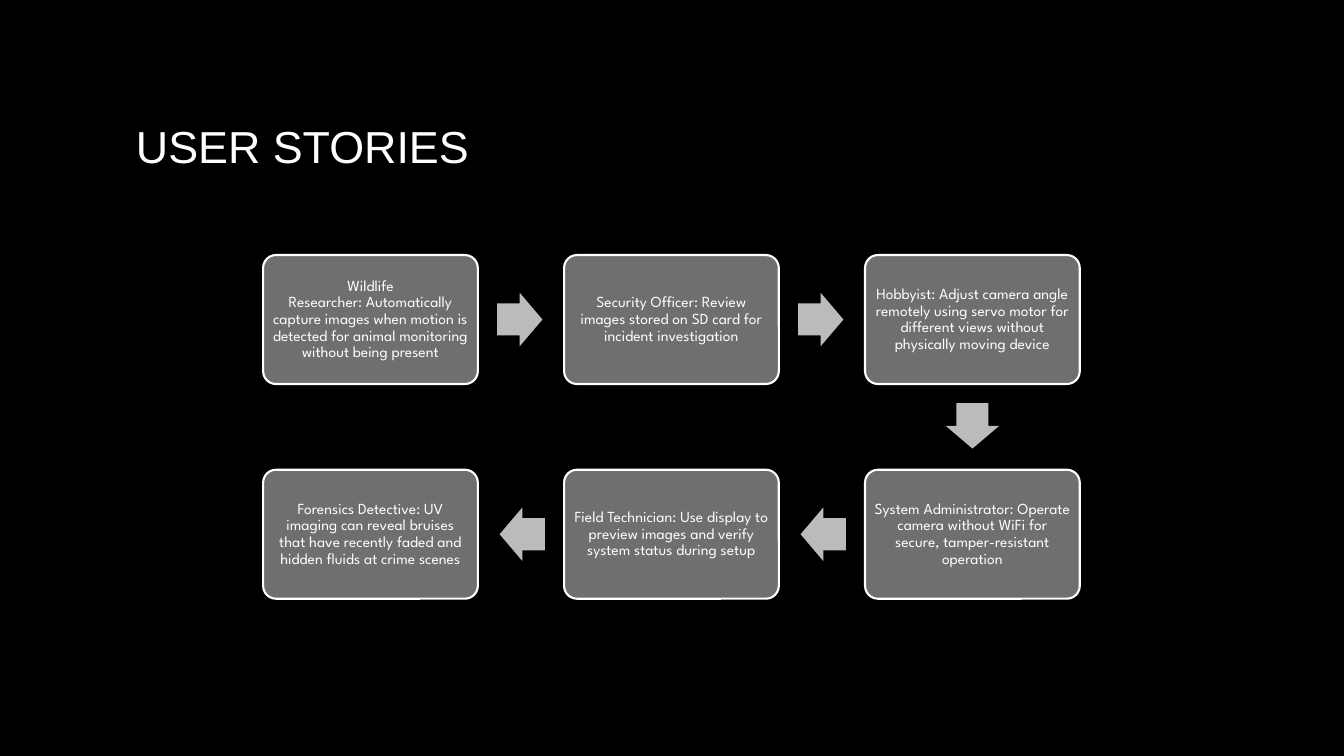
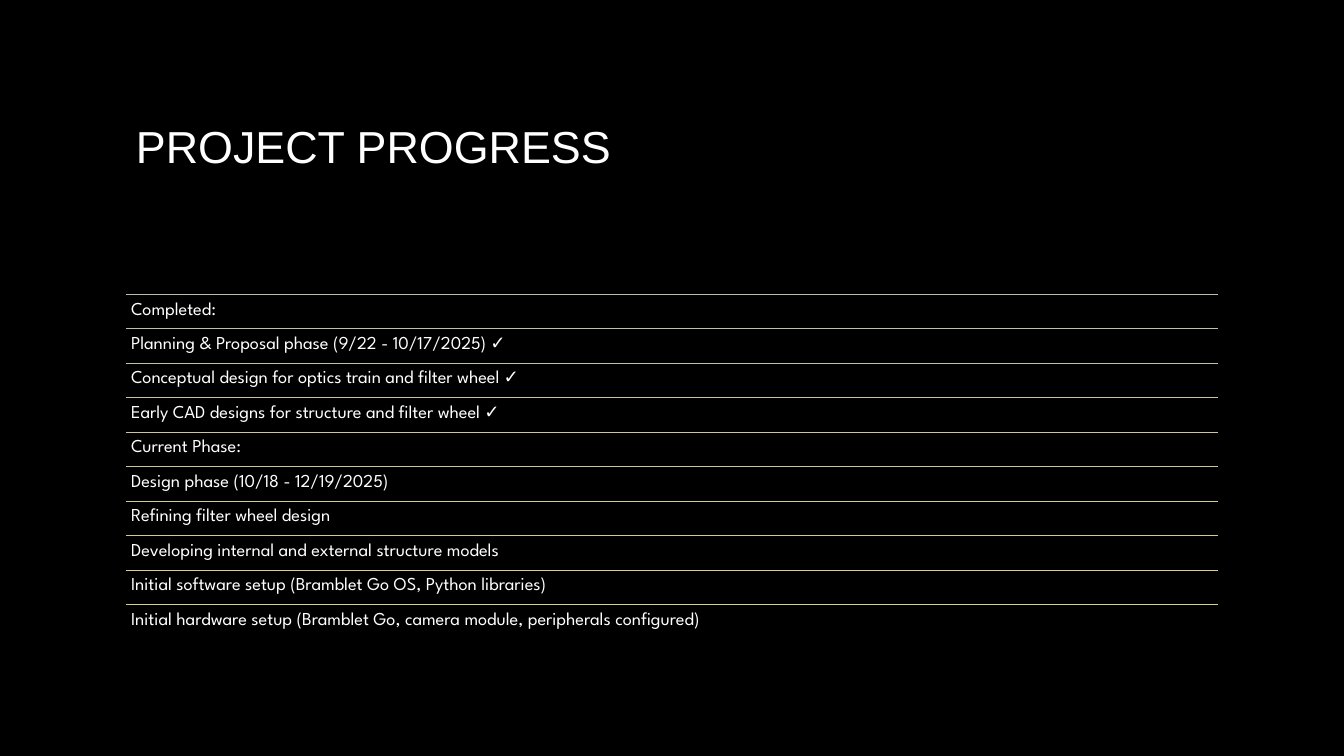
from lxml.etree import SubElement
from pptx import Presentation
from pptx.dml.color import RGBColor
from pptx.enum.shapes import MSO_CONNECTOR, MSO_SHAPE
from pptx.enum.text import MSO_ANCHOR, PP_ALIGN
from pptx.oxml.ns import qn
from pptx.util import Inches, Pt

BLACK = RGBColor(0x00, 0x00, 0x00)
WHITE = RGBColor(0xFF, 0xFF, 0xFF)
CARD = RGBColor(0x6F, 0x6F, 0x6F)
ARROW = RGBColor(0xBB, 0xBB, 0xBB)
FIRST = RGBColor(0xBF, 0xBF, 0xA5)
LAST = RGBColor(0xDC, 0xD0, 0x84)
HEAD = "Arial"
BODY = "League Spartan"
HARD = chr(160)

STORIES = [
    ("Wildlife Researcher:",
     "Automatically capture images when motion is detected for animal "
     "monitoring without being present"),
    ("Security Officer:",
     "Review images stored on SD card for incident investigation"),
    ("Hobbyist:",
     "Adjust camera angle remotely using servo motor for different views "
     "without physically moving device"),
    ("System Administrator:",
     "Operate camera without WiFi for secure, tamper-resistant operation"),
    ("Field Technician:",
     "Use display to preview images and verify system status during setup"),
    ("Forensics Detective:",
     "UV imaging can reveal bruises that have recently faded and hidden "
     "fluids at crime scenes"),
]
STEPS = [
    "Completed:",
    "Planning & Proposal phase (9/22 - 10/17/2025) ✓",
    "Conceptual design for optics train and filter wheel ✓",
    "Early CAD designs for structure and filter wheel ✓",
    "Current Phase:",
    "Design phase (10/18 - 12/19/2025)",
    "Refining filter wheel design",
    "Developing internal and external structure models",
    "Initial software setup (Bramblet Go OS, Python libraries)",
    "Initial hardware setup (Bramblet Go, camera module, peripherals "
    "configured)",
]


def write(shape, text, size, font, inset, anchor, align=PP_ALIGN.LEFT, space=1.0):
    frame = shape.text_frame
    frame.word_wrap = True
    frame.vertical_anchor = anchor
    frame.margin_left = frame.margin_right = Inches(inset)
    frame.margin_top = frame.margin_bottom = Inches(0.05)
    para = frame.paragraphs[0]
    para.alignment = align
    para.line_spacing = space
    run = para.add_run()
    run.text = text
    run.font.size = Pt(size)
    run.font.name = font
    run.font.color.rgb = WHITE


def add_text(slide, left, top, width, height, *style):
    box = slide.shapes.add_textbox(
        Inches(left), Inches(top), Inches(width), Inches(height))
    write(box, *style)


def add_slide(deck, title):
    slide = deck.slides.add_slide(deck.slide_layouts[6])
    add_text(slide, 1.25, 0.67, 10.83, 1.54,
             title, 32, HEAD, 0.1, MSO_ANCHOR.MIDDLE)
    return slide


def add_block(slide, kind, mid_x, mid_y, width, height, fill):
    shape = slide.shapes.add_shape(
        kind, Inches(mid_x - width / 2), Inches(mid_y - height / 2),
        Inches(width), Inches(height))
    shape.shadow.inherit = False
    shape.fill.solid()
    shape.fill.fore_color.rgb = fill
    shape.line.fill.background()
    return shape


def add_card(slide, mid_x, mid_y, width, height, text):
    card = add_block(slide, MSO_SHAPE.ROUNDED_RECTANGLE,
                     mid_x, mid_y, width, height, CARD)
    card.adjustments[0] = 0.1
    card.line.color.rgb = WHITE
    card.line.width = Pt(1.5)
    write(card, text, 11, BODY, 0.05, MSO_ANCHOR.MIDDLE, PP_ALIGN.CENTER, 0.9)


def add_arrow(slide, mid_x, mid_y, turn):
    arrow = add_block(slide, MSO_SHAPE.RIGHT_ARROW,
                      mid_x, mid_y, 0.45, 0.53, ARROW)
    arrow.adjustments[0] = 0.6
    arrow.adjustments[1] = 0.5
    arrow.rotation = turn


def add_flow(slide, left, top, width, height, tales, cols=3):
    card_w, card_h, gap = 2.13, 1.28, 0.19
    rows = len(tales) // cols
    step_x = (width - card_w) / (cols - 1)
    step_y = (height - card_h) / (rows - 1)
    reach = gap + 0.45 / 2
    for i, tale in enumerate(tales):
        row, col = divmod(i, cols)
        back = row % 2 == 1
        place = cols - 1 - col if back else col
        mid_x = left + card_w / 2 + place * step_x
        mid_y = top + card_h / 2 + row * step_y
        add_card(slide, mid_x, mid_y, card_w, card_h, HARD.join(tale))
        if i == len(tales) - 1:
            continue
        if col == cols - 1:
            add_arrow(slide, mid_x, mid_y + card_h / 2 + reach, 90)
        else:
            side = -1 if back else 1
            add_arrow(slide, mid_x + side * (card_w / 2 + reach), mid_y,
                      180 if back else 0)


def blend(part):
    return RGBColor(*(round(a + (b - a) * part) for a, b in zip(FIRST, LAST)))


def add_rule(slide, left, top, width, color):
    rule = slide.shapes.add_connector(
        MSO_CONNECTOR.STRAIGHT, Inches(left), Inches(top),
        Inches(left + width), Inches(top))
    rule.line.color.rgb = color
    rule.line.width = Pt(0.75)
    SubElement(rule.element.spPr, qn("a:effectLst"))


def add_list(slide, left, top, width, height, texts):
    step = height / len(texts)
    for i, text in enumerate(texts):
        y = top + i * step
        add_rule(slide, left, y, width, blend(i / (len(texts) - 1)))
        add_text(slide, left, y, width, step, text, 13, BODY, 0.05,
                 MSO_ANCHOR.TOP, PP_ALIGN.LEFT, 0.9)


def main():
    deck = Presentation()
    deck.slide_width = Inches(13.33)
    deck.slide_height = Inches(7.5)
    back = deck.slide_master.background.fill
    back.solid()
    back.fore_color.rgb = BLACK
    add_flow(add_slide(deck, "USER STORIES"), 2.61, 2.53, 8.1, 3.41, STORIES)
    add_list(add_slide(deck, "PROJECT PROGRESS"), 1.25, 2.92, 10.83, 3.42, STEPS)
    deck.save("out.pptx")


if __name__ == "__main__":
    main()
